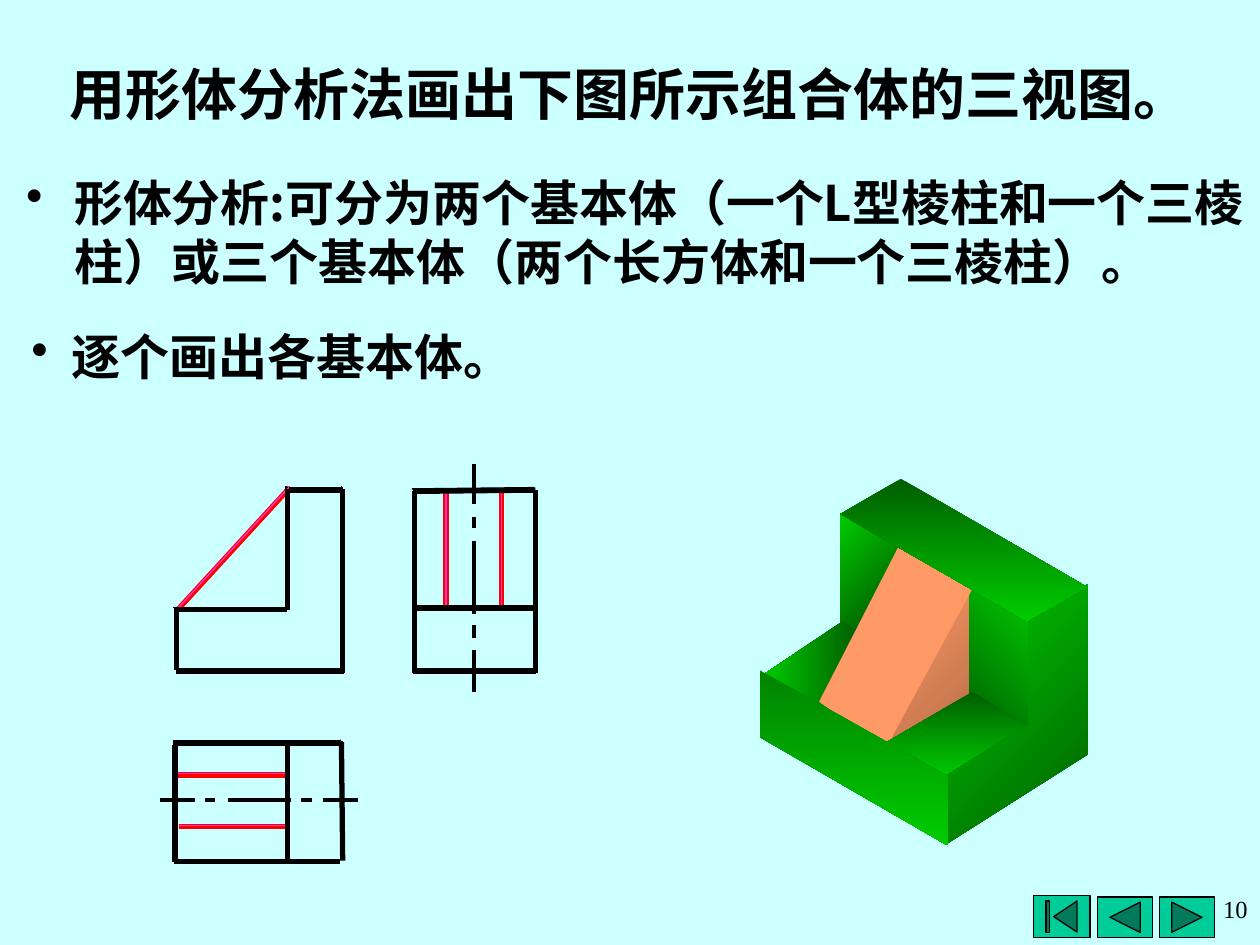
from dataclasses import dataclass

from lxml.etree import SubElement
from pptx import Presentation
from pptx.dml.color import RGBColor
from pptx.enum.shapes import MSO_CONNECTOR, MSO_SHAPE
from pptx.enum.text import MSO_ANCHOR, PP_ALIGN
from pptx.oxml.ns import qn
from pptx.util import Cm, Pt


@dataclass(frozen=True)
class Theme:
    """Colours, fonts and type sizes of the slide."""
    background: str = "CCFFFF"
    ink: str = "000000"
    button: str = "00CC99"
    red: str = "FF0000"
    pink: str = "FF33CC"
    prism: str = "FF9966"
    prism_shade: str = "B86E49"
    green: str = "00CC00"
    green_shade: str = "005E00"
    green_front: str = "008300"
    green_deep: str = "004B00"
    heading_font: str = "Noto Sans CJK SC"
    number_font: str = "Times New Roman"
    title_size: float = 32
    body_size: float = 28
    body_pitch: float = 33.6
    number_size: float = 14
    thick: float = 3
    thin: float = 0.75


THEME = Theme()

OUTLINES = [
    (2.72, 3.88, 2.72, 5.34), (2.72, 3.89, 2.29, 3.89), (2.28, 3.88, 2.28, 4.84),
    (2.28, 4.84, 1.38, 4.84), (1.4, 4.85, 1.4, 5.32), (2.73, 5.33, 1.4, 5.33),
    (1.39, 5.91, 1.39, 6.84), (1.38, 5.9, 2.72, 5.9), (2.71, 5.89, 2.72, 6.83),
    (1.38, 6.84, 2.7, 6.84), (2.28, 5.9, 2.28, 6.83),
    (3.29, 3.9, 3.29, 5.34), (3.28, 5.33, 4.25, 5.33), (3.28, 3.9, 4.25, 3.89),
    (4.25, 3.89, 4.25, 5.34), (3.29, 4.83, 4.24, 4.83),
]
PRISM_EDGES = [
    (2.3, 3.87, 1.41, 4.84), (1.4, 6.15, 2.28, 6.15), (1.42, 6.56, 2.29, 6.56),
    (3.54, 3.89, 3.54, 4.81), (3.98, 3.88, 3.98, 4.81),
]
PLAN_AXIS_Y, SIDE_AXIS_X = 6.35, 3.76
PLAN_DASHES = [(1.27, 1.55), (1.63, 1.71), (1.81, 2.31), (2.39, 2.48), (2.56, 2.84)]
SIDE_DASHES = [(3.68, 4), (4.1, 4.19), (4.29, 4.87), (4.96, 5.06), (5.16, 5.49)]

FACES = [
    ([(6.67, 4.08), (7.13, 4.34), (6.81, 5.03), (6.67, 4.94)],
     THEME.green_deep, THEME.green, 225),
    ([(7.67, 4.65), (7.67, 5.51), (8.2, 5.83), (8.17, 4.92)],
     THEME.green, THEME.green_shade, 135),
    ([(6.05, 5.36), (6.69, 4.93), (6.81, 5.01), (6.58, 5.65)],
     THEME.green_shade, THEME.green, 180),
    ([(7.05, 5.91), (7.69, 5.57), (7.69, 4.67)],
     THEME.prism_shade, THEME.prism, 225),
    ([(6.5, 5.57), (7.03, 5.94), (7.72, 4.67), (7.13, 4.34)],
     THEME.prism, THEME.prism, 0),
    ([(7.02, 5.9), (7.72, 5.49), (8.17, 5.78), (7.51, 6.18)],
     THEME.green_shade, THEME.green, 90),
    ([(8.16, 4.93), (8.63, 4.64), (8.63, 5.99), (7.51, 6.7), (7.52, 6.15), (8.16, 5.75)],
     THEME.green_shade, THEME.green, 225),
    ([(6.03, 5.32), (7.52, 6.16), (7.52, 6.71), (6.03, 5.85)],
     THEME.green_front, THEME.green, 90),
    ([(6.67, 4.08), (7.15, 3.8), (8.63, 4.66), (8.15, 4.93)],
     THEME.green_shade, THEME.green, 90),
]
BUTTONS = [
    (MSO_SHAPE.ACTION_BUTTON_BEGINNING, (8.2, 7.11, 0.45, 0.33)),
    (MSO_SHAPE.ACTION_BUTTON_BACK_OR_PREVIOUS, (8.71, 7.12, 0.44, 0.32)),
    (MSO_SHAPE.ACTION_BUTTON_FORWARD_OR_NEXT, (9.2, 7.12, 0.44, 0.32)),
]


def grid(*units):
    """Turn drawing units of 2.54 cm into lengths."""
    return [Cm(unit * 2.54) for unit in units]


def rgb(code):
    """Return the colour for a hexadecimal code."""
    return RGBColor.from_string(code)


def style(paragraph, face, size, bold=False):
    """Format the runs of a paragraph, for Latin and Chinese letters alike."""
    for run in paragraph.runs:
        run.font.name = face
        run.font.size = Pt(size)
        run.font.bold = bold
        run.font.color.rgb = rgb(THEME.ink)
        SubElement(run.font._element, qn("a:ea"), typeface=face)


def add_title(slide, wording):
    """Fill and place the title placeholder."""
    title = slide.shapes.title
    title.left, title.top, title.width, title.height = grid(0.44, 0.42, 9.12, 0.64)
    frame = title.text_frame
    frame.text = wording
    frame.vertical_anchor = MSO_ANCHOR.MIDDLE
    frame.paragraphs[0].alignment = PP_ALIGN.CENTER
    style(frame.paragraphs[0], THEME.heading_font, THEME.title_size, True)


def add_text(slide, box, wording):
    """Add a wrapped text box and return its paragraph."""
    frame = slide.shapes.add_textbox(*grid(*box)).text_frame
    frame.word_wrap = True
    frame.text = wording
    return frame.paragraphs[0]


def add_bullet(slide, box, wording, indent):
    """Add a bulleted statement with a hanging indent."""
    statement = add_text(slide, box, wording)
    statement.line_spacing = Pt(THEME.body_pitch)
    hanging = grid(indent)[0]
    properties = statement._p.get_or_add_pPr()
    properties.set("marL", str(hanging))
    properties.set("indent", str(-hanging))
    SubElement(properties, qn("a:buChar"), char="•")
    style(statement, THEME.heading_font, THEME.body_size, True)


def add_page_number(slide, number):
    """Add the page number at the lower right."""
    page = add_text(slide, (7.48, 7.05, 2.52, 0.4), number)
    page.alignment = PP_ALIGN.RIGHT
    style(page, THEME.number_font, THEME.number_size)


def add_lines(slide, segments, colour, width, dx=0, dy=0):
    """Draw straight segments, all shifted by the same amount."""
    for x1, y1, x2, y2 in segments:
        ends = grid(x1 + dx, y1 + dy, x2 + dx, y2 + dy)
        edge = slide.shapes.add_connector(MSO_CONNECTOR.STRAIGHT, *ends)
        edge.line.color.rgb = rgb(colour)
        edge.line.width = Pt(width)
        SubElement(edge._element.spPr, qn("a:effectLst"))


def add_face(slide, corners, start, end, angle):
    """Draw one face of the solid, shaded clockwise along the angle."""
    points = [tuple(grid(*corner)) for corner in corners]
    builder = slide.shapes.build_freeform(*points[0])
    builder.add_line_segments(points[1:], close=True)
    face = builder.convert_to_shape()
    face.shadow.inherit = False
    face.line.fill.background()
    if start == end:
        face.fill.solid()
        face.fill.fore_color.rgb = rgb(start)
        return
    face.fill.gradient()
    face.fill.gradient_angle = 360 - angle
    for stop, colour in zip(face.fill.gradient_stops, (start, end)):
        stop.color.rgb = rgb(colour)


def add_button(slide, kind, box):
    """Add a navigation button."""
    button = slide.shapes.add_shape(kind, *grid(*box))
    button.shadow.inherit = False
    button.fill.solid()
    button.fill.fore_color.rgb = rgb(THEME.button)
    button.line.color.rgb = rgb(THEME.ink)
    button.line.width = Pt(THEME.thin)


def main():
    """Build the slide and save it."""
    deck = Presentation()
    deck.slide_width, deck.slide_height = grid(10, 7.5)
    slide = deck.slides.add_slide(deck.slide_layouts[5])
    slide.background.fill.solid()
    slide.background.fill.fore_color.rgb = rgb(THEME.background)
    for kind, box in BUTTONS:
        add_button(slide, kind, box)
    add_title(slide, "用形体分析法画出下图所示组合体的三视图。")
    add_bullet(slide, (0.11, 1.32, 9.89, 1.1),
               "形体分析:可分为两个基本体（一个L型棱柱和一个三棱柱）"
               "或三个基本体（两个长方体和一个三棱柱）。", 0.38)
    add_bullet(slide, (0.15, 2.54, 5.19, 0.57), "逐个画出各基本体。", 0.32)
    axes = [(a, PLAN_AXIS_Y, b, PLAN_AXIS_Y) for a, b in PLAN_DASHES]
    axes += [(SIDE_AXIS_X, a, SIDE_AXIS_X, b) for a, b in SIDE_DASHES]
    add_lines(slide, PRISM_EDGES, THEME.red, THEME.thick)
    add_lines(slide, axes, THEME.ink, 0)
    add_lines(slide, OUTLINES, THEME.ink, THEME.thin, -0.01, -0.02)
    for face in FACES:
        add_face(slide, *face)
    add_lines(slide, PRISM_EDGES, THEME.pink, THEME.thin, 0, -0.01)
    add_lines(slide, OUTLINES, THEME.ink, THEME.thick)
    add_page_number(slide, "10")
    deck.save("out.pptx")


if __name__ == "__main__":
    main()
